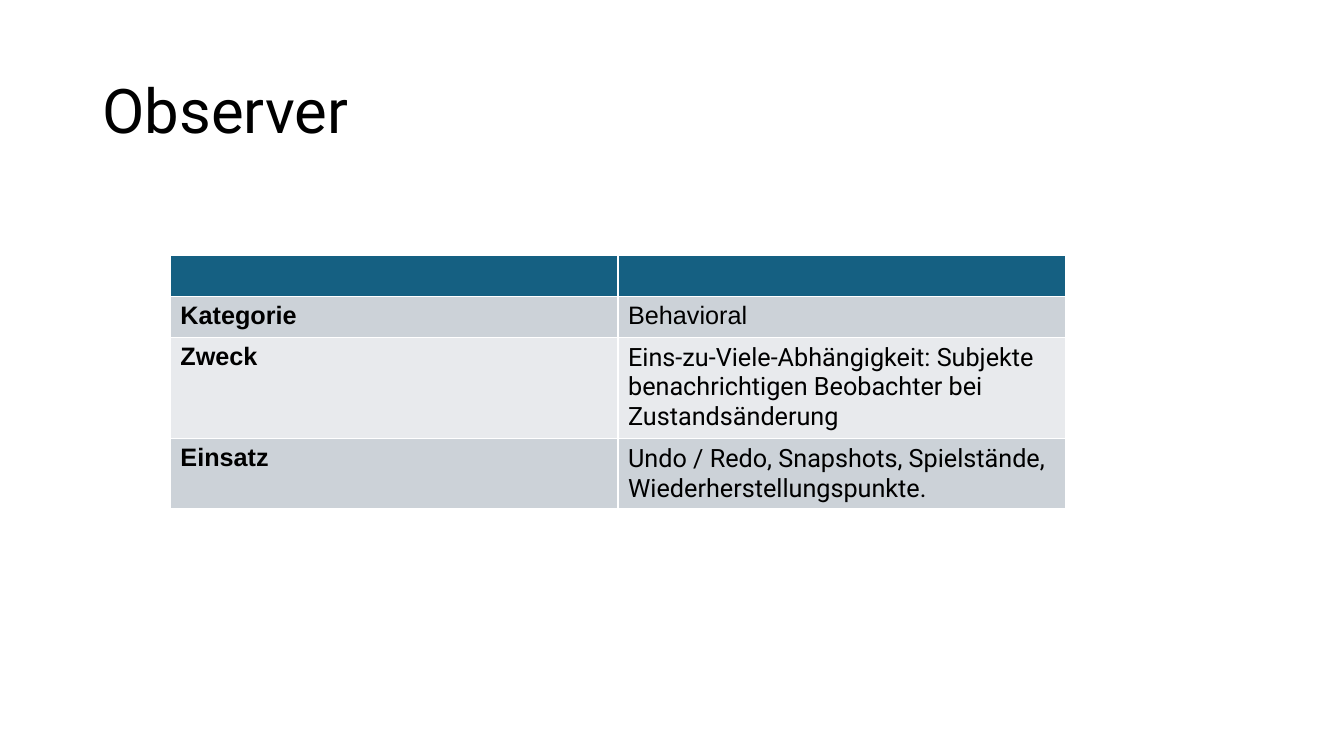
from pptx import Presentation
from pptx.dml.color import RGBColor
from pptx.enum.text import MSO_ANCHOR
from pptx.util import Inches, Pt

MIDDLE = MSO_ANCHOR.MIDDLE
TOP = MSO_ANCHOR.TOP

COLORS = {
    "text": "000000",
    "header": "156082",
    "odd_row": "CCD2D8",
    "even_row": "E8EAED",
}

# Label, description, font of the description, its vertical anchor
PATTERN_FACTS = [
    ("Kategorie", "Behavioral", "Arial", TOP),
    ("Zweck", "Eins-zu-Viele-Abhängigkeit: Subjekte benachrichtigen "
     "Beobachter bei Zustandsänderung", "Roboto", TOP),
    ("Einsatz", "Undo / Redo, Snapshots, Spielstände, "
     "Wiederherstellungspunkte.", "Roboto", MIDDLE),
]


def write(paragraph, text, font_name, size, bold=False):
    paragraph.text = text
    paragraph.font.name = font_name
    paragraph.font.size = Pt(size)
    paragraph.font.bold = bold
    paragraph.font.color.rgb = RGBColor.from_string(COLORS["text"])


def fill_cell(cell, color):
    cell.fill.solid()
    cell.fill.fore_color.rgb = RGBColor.from_string(COLORS[color])


prs = Presentation()
prs.slide_width = Inches(13.33)
prs.slide_height = Inches(7.5)
slide = prs.slides.add_slide(prs.slide_layouts[6])

# Title
title = slide.shapes.add_textbox(
    Inches(0.92), Inches(0.4), Inches(11.5), Inches(1.45)).text_frame
title.word_wrap = True
title.vertical_anchor = MIDDLE
write(title.paragraphs[0], "Observer", "Roboto", 44)
title.paragraphs[0].line_spacing = 0.9

# Pattern overview; the default table style supplies the white borders
row_count = len(PATTERN_FACTS) + 1
overview = slide.shapes.add_table(
    row_count, 2, Inches(1.69), Inches(2.53),
    Inches(8.88), Inches(0.41 * row_count)).table

for header_cell in overview.rows[0].cells:
    fill_cell(header_cell, "header")

for row, (label, description, font_name, anchor) in enumerate(PATTERN_FACTS, 1):
    label_cell, description_cell = overview.rows[row].cells
    for cell in (label_cell, description_cell):
        fill_cell(cell, "odd_row" if row % 2 else "even_row")
    write(label_cell.text_frame.paragraphs[0], label, "Arial", 18, bold=True)
    write(description_cell.text_frame.paragraphs[0], description, font_name, 18)
    description_cell.vertical_anchor = anchor

prs.save("out.pptx")
